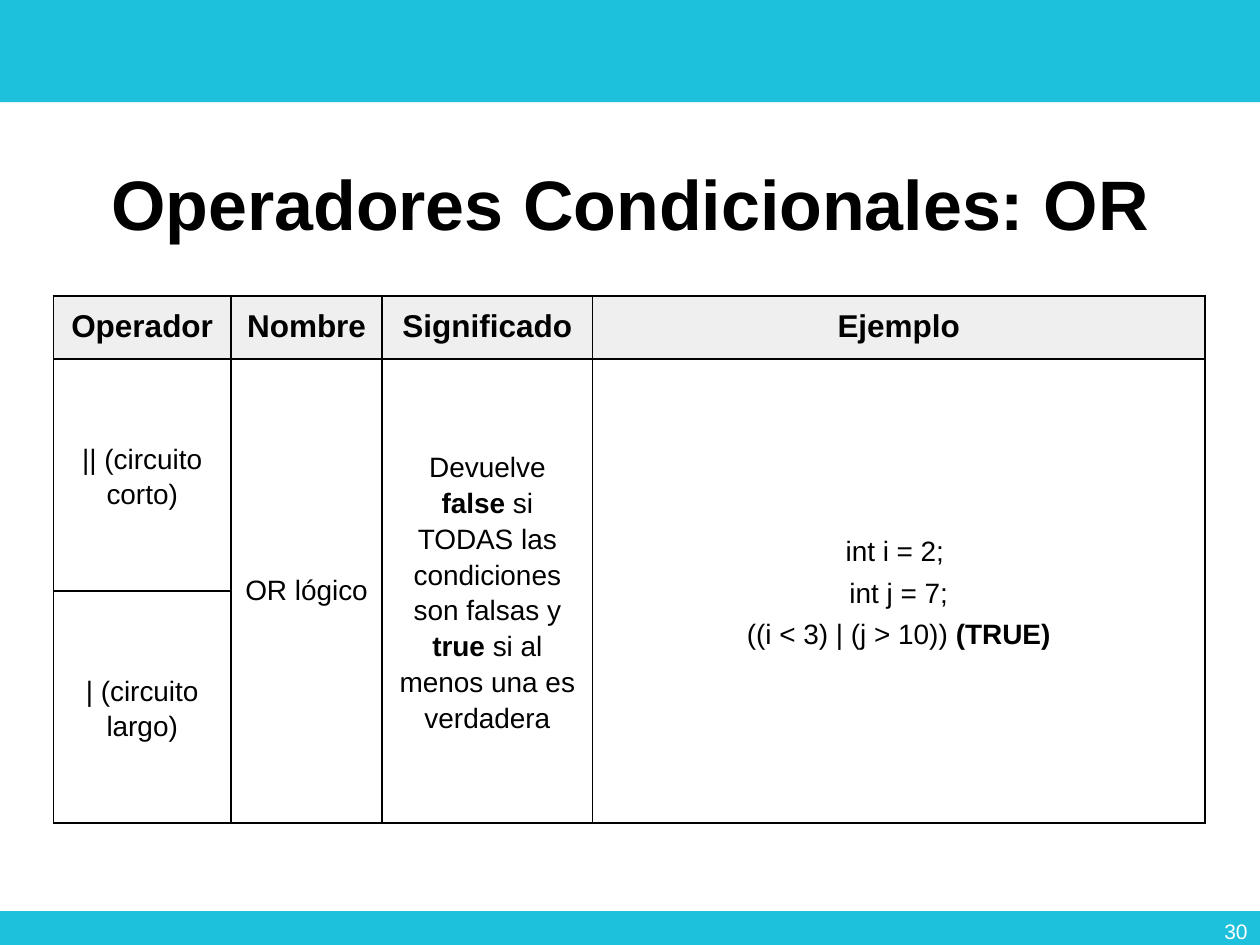
from lxml.etree import SubElement
from pptx import Presentation
from pptx.dml.color import RGBColor
from pptx.enum.shapes import MSO_SHAPE as Shape
from pptx.enum.text import MSO_ANCHOR as Anchor, MSO_AUTO_SIZE as AutoSize, PP_ALIGN as Align
from pptx.oxml.ns import qn
from pptx.util import Pt

TURQUOISE = RGBColor(0x1D, 0xC1, 0xDC)
LIGHT_GREY = RGBColor(0xEF, 0xEF, 0xEF)
BLACK = RGBColor(0, 0, 0)
WHITE = RGBColor(255, 255, 255)

WIDTH, HEIGHT = 720, 540
COLUMNS = [101.5, 86.4, 120.2, 350]
ROWS = [35.3, 132.5, 132.5]

# Each paragraph is a list of (text, bold) runs.
HEADINGS = ["Operador", "Nombre", "Significado", "Ejemplo"]
SHORT_CIRCUIT = [[("|| (circuito corto)", False)]]
LONG_CIRCUIT = [[("| (circuito largo)", False)]]
NAME = [[("OR lógico", False)]]
MEANING = [[
    ("Devuelve ", False), ("false", True),
    (" si TODAS las condiciones son falsas y ", False), ("true", True),
    (" si al menos una es verdadera", False),
]]
EXAMPLE = [
    [("int i = 2; ", False)],
    [("int j = 7;", False)],
    [("((i < 3) | (j > 10)) ", False), ("(TRUE)", True)],
]


class SlideBuilder:
    def __init__(self, slide, font="Arial"):
        self.slide = slide
        self.font = font

    def style(self, paragraph, size, color, align, bold=None):
        paragraph.alignment = align
        font = paragraph.font
        font.name, font.size, font.bold = self.font, Pt(size), bold
        font.color.rgb = color

    def bar(self, top, height):
        bar = self.slide.shapes.add_shape(Shape.RECTANGLE, 0, Pt(top), Pt(WIDTH), Pt(height))
        bar.shadow.inherit = False
        bar.fill.solid()
        bar.fill.fore_color.rgb = TURQUOISE
        bar.line.fill.background()

    def title(self, text, left, top, width, height):
        title = self.slide.shapes.title
        title.left, title.top, title.width, title.height = map(Pt, (left, top, width, height))
        frame = title.text_frame
        frame.text = text
        frame.auto_size = AutoSize.NONE
        frame.vertical_anchor = Anchor.MIDDLE
        heading = frame.paragraphs[0]
        heading.line_spacing = 0.9
        self.style(heading, 40, BLACK, Align.CENTER, bold=True)

    def page_number(self, number, left, top, width, height):
        box = self.slide.shapes.add_textbox(*map(Pt, (left, top, width, height)))
        frame = box.text_frame
        frame.word_wrap = True
        frame.vertical_anchor = Anchor.MIDDLE
        frame.text = str(number)
        self.style(frame.paragraphs[0], 12, WHITE, Align.RIGHT)

    def table(self, left, top, columns, rows):
        """Add a bordered table with a grey first row."""
        table = self.slide.shapes.add_table(
            len(rows), len(columns), Pt(left), Pt(top), Pt(sum(columns)), Pt(sum(rows))
        ).table
        table.first_row = table.horz_banding = False
        for column, width in zip(table.columns, columns):
            column.width = Pt(width)
        for index, (row, height) in enumerate(zip(table.rows, rows)):
            row.height = Pt(height)
            for cell in row.cells:
                self.frame_cell(cell, WHITE if index else LIGHT_GREY)
        return table

    def frame_cell(self, cell, color):
        """Give a cell its margins, thin black borders and fill."""
        cell.margin_left = cell.margin_right = cell.margin_top = cell.margin_bottom = Pt(7.2)
        properties = cell._tc.get_or_add_tcPr()
        for side in ("a:lnL", "a:lnR", "a:lnT", "a:lnB"):
            border = SubElement(properties, qn(side), w=str(Pt(1)))
            SubElement(SubElement(border, qn("a:solidFill")), qn("a:srgbClr"), val=str(BLACK))
        cell.fill.solid()
        cell.fill.fore_color.rgb = color

    def header_cell(self, cell, text):
        cell.text = text
        self.style(cell.text_frame.paragraphs[0], 18, BLACK, Align.CENTER, bold=True)

    def body_cell(self, cell, paragraphs, line_spacing=1.15):
        cell.vertical_anchor = Anchor.MIDDLE
        frame = cell.text_frame
        for index, runs in enumerate(paragraphs):
            paragraph = frame.add_paragraph() if index else frame.paragraphs[0]
            paragraph.line_spacing = line_spacing
            if index:
                paragraph.space_before = Pt(3)
            self.style(paragraph, 16, BLACK, Align.CENTER)
            for text, bold in runs:
                run = paragraph.add_run()
                run.text = text
                run.font.bold = bold


def main():
    presentation = Presentation()
    presentation.slide_width, presentation.slide_height = Pt(WIDTH), Pt(HEIGHT)
    title_only = presentation.slide_layouts[5]
    builder = SlideBuilder(presentation.slides.add_slide(title_only))

    builder.bar(0, 58.4)
    builder.bar(520.6, HEIGHT - 520.6)
    builder.title("Operadores Condicionales: OR", 49.7, 70.6, 620.6, 95.8)
    builder.page_number(30, 558, 517.7, 162, 28.8)

    operators = builder.table(30.5, 169.2, COLUMNS, ROWS)
    for column, heading in enumerate(HEADINGS):
        builder.header_cell(operators.cell(0, column), heading)
    for column in range(1, len(COLUMNS)):
        operators.cell(1, column).merge(operators.cell(2, column))
    builder.body_cell(operators.cell(1, 0), SHORT_CIRCUIT)
    builder.body_cell(operators.cell(2, 0), LONG_CIRCUIT)
    builder.body_cell(operators.cell(1, 1), NAME, line_spacing=1.0)
    builder.body_cell(operators.cell(1, 2), MEANING)
    builder.body_cell(operators.cell(1, 3), EXAMPLE)

    presentation.save("out.pptx")


if __name__ == "__main__":
    main()
